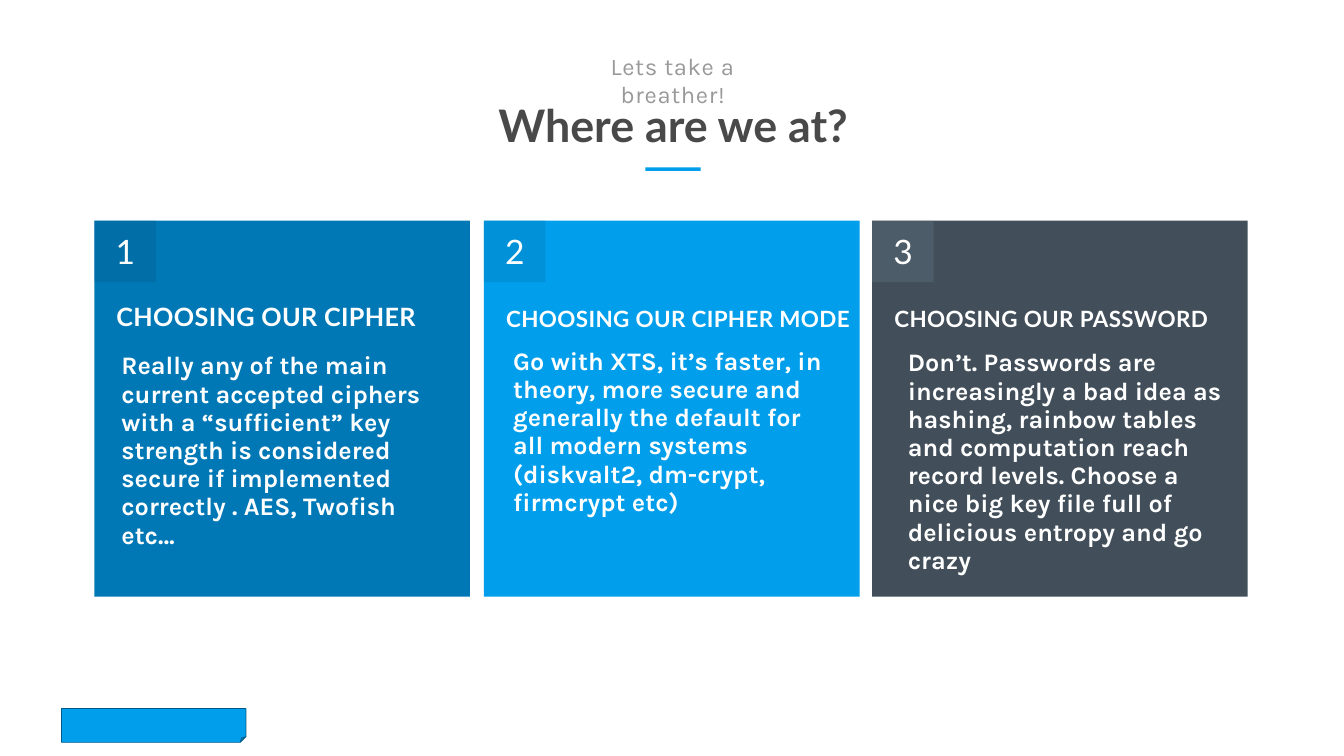
from lxml import etree
from pptx import Presentation
from pptx.dml.color import RGBColor
from pptx.enum.shapes import MSO_SHAPE as SHAPE
from pptx.enum.text import MSO_ANCHOR as ANCHOR, MSO_AUTO_SIZE as FIT, PP_ALIGN as ALIGN
from pptx.oxml.ns import qn
from pptx.util import Pt

PX = 9144  # EMU per px, 100 px to the inch

THEME = {
    "heading_font": "Lato", "body_font": "Karla",
    "accent": "009EEB", "accent_edge": "015987", "white": "FFFFFF",
    "title": "494949", "subtitle": "999999",
    "title_size": 64, "subtitle_size": 34, "number_size": 48, "body_size": 36,
}

deck = Presentation()
deck.slide_width, deck.slide_height = 2666 * PX, 1500 * PX
slide = deck.slides.add_slide(deck.slide_layouts[6])


def add_block(box, color, kind=SHAPE.RECTANGLE, edge=None, alpha=None):
    block = slide.shapes.add_shape(kind, *(n * PX for n in box))
    block.shadow.inherit = False
    block.fill.solid()
    block.fill.fore_color.rgb = RGBColor.from_string(color)
    if alpha:
        tint = block.fill._xPr.find(".//" + qn("a:srgbClr"))
        etree.SubElement(tint, qn("a:alpha")).set("val", str(alpha * 1000))
    if edge:
        block.line.color.rgb = RGBColor.from_string(edge)
        block.line.width = Pt(1)
    else:
        block.line.fill.background()


def add_text(text, box, size, font=THEME["heading_font"], color=THEME["white"],
             bold=False, align=ALIGN.LEFT, anchor=ANCHOR.TOP, wrap=False,
             inset=(0, 0), tracking=0, leading=None, after=0):
    frame = slide.shapes.add_textbox(*(n * PX for n in box)).text_frame
    frame.word_wrap, frame.auto_size = wrap, FIT.SHAPE_TO_FIT_TEXT
    frame.vertical_anchor = anchor
    frame.margin_left = frame.margin_right = inset[0] * PX
    frame.margin_top = frame.margin_bottom = inset[1] * PX
    paragraph = frame.paragraphs[0]
    paragraph.alignment = align
    paragraph.space_after = Pt(after)
    if leading:
        paragraph.line_spacing = Pt(leading)
    run = paragraph.add_run()
    run.text = text
    run.font.name, run.font.size, run.font.bold = font, Pt(size), bold
    run.font.color.rgb = RGBColor.from_string(color)
    if tracking:
        run.font._element.set("spc", str(tracking))


# Footer tab
add_block((122, 1406, 366, 67), THEME["accent"], SHAPE.FOLDED_CORNER, THEME["accent_edge"])

# Title, subtitle and rule
add_text("Where are we at?", (982, 193, 706, 108), THEME["title_size"],
         color=THEME["title"], bold=True, align=ALIGN.CENTER, anchor=ANCHOR.MIDDLE)
add_text("Lets take a breather!", (1115, 130, 439, 57), THEME["subtitle_size"],
         font=THEME["body_font"], color=THEME["subtitle"], align=ALIGN.CENTER,
         anchor=ANCHOR.MIDDLE, tracking=100)
add_block((1280, 332, 110, 7), THEME["accent"])

# Cards: left, fill, badge fill, heading, heading width, heading size, advice, advice box
CARD_TOP, CARD_WIDTH, CARD_HEIGHT, BADGE = 438, 745, 746, 122
cards = [
    (187, "0178B6", "015A88", "CHOOSING OUR CIPHER", 602, 36,
     "Really any of the main current accepted ciphers with a “sufficient” key strength "
     "is considered secure if implemented correctly . AES, Twofish etc…",
     (231, 693, 649, 347)),
    (960, THEME["accent"], "0076B0", "CHOOSING OUR CIPHER MODE", 689, 32,
     "Go with XTS, it’s faster, in theory, more secure and generally the default for "
     "all modern systems (diskvalt2, dm-crypt, firmcrypt etc)",
     (1008, 684, 649, 291)),
    (1730, "424F5A", "677C8D", "CHOOSING OUR PASSWORD", 632, 32,
     "Don’t. Passwords are increasingly a bad idea as hashing, rainbow tables and "
     "computation reach record levels. Choose a nice big key file full of delicious "
     "entropy and go crazy",
     (1791, 687, 649, 403)),
]
for number, card in enumerate(cards, 1):
    left, fill, badge_fill, heading, heading_width, heading_size, advice, advice_box = card
    add_block((left, CARD_TOP, CARD_WIDTH, CARD_HEIGHT), fill)
    add_block((left, CARD_TOP, BADGE, BADGE), badge_fill, alpha=30)
    add_text(heading, (left + 44, 610, heading_width, 49), heading_size,
             bold=True, tracking=50, leading=34.7, after=32)
    add_text(str(number), (left + 22, 448, 79, 101), THEME["number_size"],
             align=ALIGN.CENTER, inset=(20, 10))
    add_text(advice, advice_box, THEME["body_size"], font=THEME["body_font"],
             bold=True, wrap=True, inset=(10, 5), leading=40.3)

deck.save("out.pptx")
